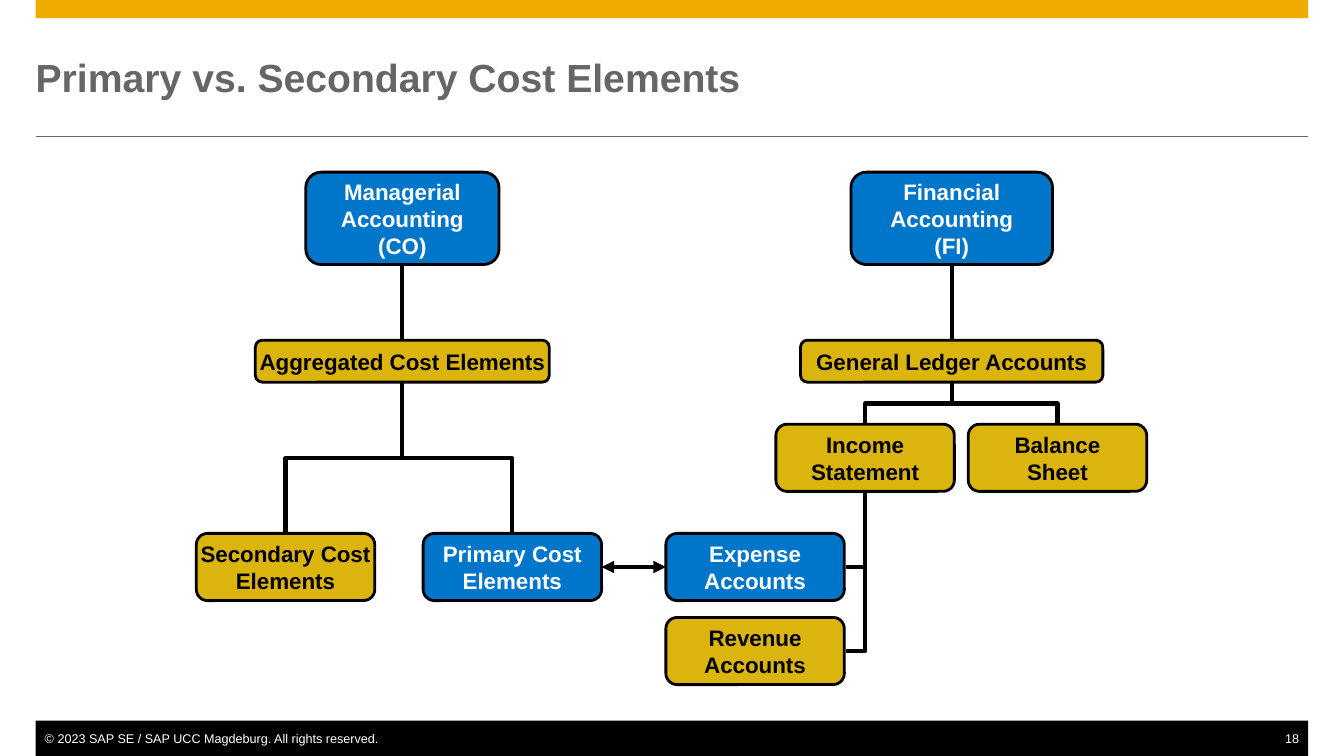
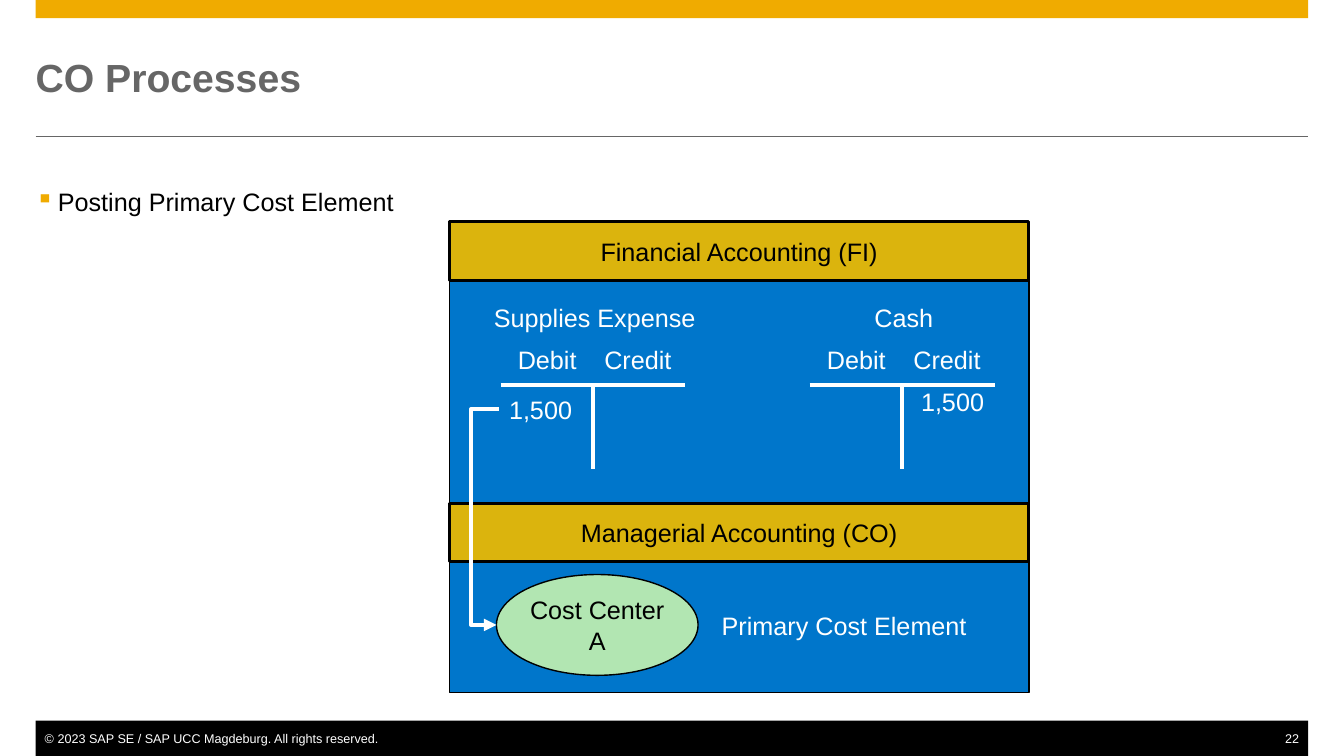
from dataclasses import dataclass

from pptx import Presentation
from pptx.dml.color import RGBColor as RGB
from pptx.enum.shapes import MSO_CONNECTOR as CXN, MSO_SHAPE as SHAPE
from pptx.enum.text import MSO_ANCHOR as ANCHOR, PP_ALIGN as ALIGN
from pptx.oxml.ns import qn
from pptx.oxml.xmlchemy import OxmlElement
from pptx.util import Inches, Pt

COLS, ROWS = 160, 90
TOP, LEFT, BOTTOM, RIGHT = range(4)


@dataclass(frozen=True)
class Theme:
    font: str = "Arial"
    accent: str = "F0AB00"
    gray: str = "666666"
    black: str = "000000"
    white: str = "FFFFFF"
    blue: str = "0076CB"
    gold: str = "DBB40D"
    green: str = "B2E6B2"
    title: int = 28
    body: int = 18
    node: int = 16
    small: int = 9
    hairline: float = 0.5
    thin: int = 1
    border: int = 2
    link: int = 3


T = Theme()


def add_xml(parent, tag, **attrs):
    el = OxmlElement(tag)
    for name, value in attrs.items():
        el.set(name, str(value))
    parent.append(el)
    return el


class Deck:
    ELBOW_TURNS = {
        "down-left": (90, {}),
        "down-right": (270, {"flipH": 1}),
        "back": (180, {"flipV": 1}),
    }

    def __init__(self, theme):
        self.t = theme
        self.prs = Presentation()
        self.prs.slide_width, self.prs.slide_height = Inches(13.34), Inches(7.5)
        self.s = None

    def x(self, cols):
        return round(cols * self.prs.slide_width / COLS)

    def y(self, rows):
        return round(rows * self.prs.slide_height / ROWS)

    def area(self, cx, cy, w, h):
        return self.x(cx - w / 2), self.y(cy - h / 2), self.x(w), self.y(h)

    def slide(self, title, number):
        t = self.t
        self.s = self.prs.slides.add_slide(self.prs.slide_layouts[6])
        self.shape(80, 1.08, 151.5, 2.16, t.accent)
        self.line(4.25, 16.2, 155.75, 16.2, t.gray, t.hairline)
        self.shape(80, 87.9, 151.5, 4.2, t.black)
        footer = dict(size=t.small, color=t.white)
        self.label("© 2023 SAP SE / SAP UCC Magdeburg. All rights reserved.",
                   80, 87.9, 149.34, 1.8, align=ALIGN.LEFT, **footer)
        self.label(number, 80, 87.9, 149.34, 1.8, align=ALIGN.RIGHT, **footer)
        self.label(title, 80, 9.2, 151.5, 10, size=t.title, color=t.gray,
                   bold=True, align=ALIGN.LEFT)

    def put_text(self, sp, text, size, color, bold=False, align=ALIGN.CENTER,
                 wrap=True, inset=0):
        tf = sp.text_frame
        frame = dict(word_wrap=wrap, vertical_anchor=ANCHOR.MIDDLE,
                     margin_left=self.x(inset), margin_right=0,
                     margin_top=0, margin_bottom=0)
        for name, value in frame.items():
            setattr(tf, name, value)
        for i, words in enumerate(text.split("\n")):
            p = tf.add_paragraph() if i else tf.paragraphs[0]
            p.alignment = align
            r = p.add_run()
            r.text = words
            for name, value in dict(name=self.t.font, size=Pt(size), bold=bold).items():
                setattr(r.font, name, value)
            r.font.color.rgb = RGB.from_string(color)

    def label(self, text, cx, cy, w, h=4.8, **style):
        sp = self.s.shapes.add_textbox(*self.area(cx, cy, w, h))
        self.put_text(sp, text, **style)
        return sp

    def bullet(self, text, cx, cy, w):
        sp = self.label(text, cx, cy, w, size=self.t.body, color=self.t.black,
                        align=ALIGN.LEFT)
        pPr = sp.text_frame.paragraphs[0]._p.get_or_add_pPr()
        indent = Inches(0.22)
        pPr.set("marL", str(indent))
        pPr.set("indent", str(-indent))
        add_xml(add_xml(pPr, "a:buClr"), "a:srgbClr", val=self.t.accent)
        add_xml(pPr, "a:buChar", char="▪")

    def shape(self, cx, cy, w, h, fill, border=0, kind=SHAPE.RECTANGLE):
        sp = self.s.shapes.add_shape(kind, *self.area(cx, cy, w, h))
        sp.shadow.inherit = False
        sp.fill.solid()
        sp.fill.fore_color.rgb = RGB.from_string(fill)
        if border:
            sp.line.color.rgb = RGB.from_string(self.t.black)
            sp.line.width = Pt(border)
        else:
            sp.line.fill.background()
        return sp

    def node(self, text, cx, cy, w, h, fill):
        sp = self.shape(cx, cy, w, h, fill, self.t.border,
                        SHAPE.FLOWCHART_ALTERNATE_PROCESS)
        color = self.t.white if fill == self.t.blue else self.t.black
        self.put_text(sp, text, self.t.node, color, bold=True, wrap=False)
        return sp

    def stroke(self, c, color, width, arrows=()):
        c.line.color.rgb = RGB.from_string(color)
        c.line.width = Pt(width)
        ln = c.line._get_or_add_ln()
        for end in arrows:
            add_xml(ln, f"a:{end}End", type="triangle")
        add_xml(c._element.spPr, "a:effectLst")
        return c

    def line(self, x1, y1, x2, y2, color, width):
        c = self.s.shapes.add_connector(CXN.STRAIGHT, self.x(x1), self.y(y1),
                                        self.x(x2), self.y(y2))
        return self.stroke(c, color, width)

    def join(self, a, a_side, b, b_side, arrows=()):
        c = self.s.shapes.add_connector(CXN.STRAIGHT, 0, 0, 0, 0)
        c.begin_connect(a, a_side)
        c.end_connect(b, b_side)
        return self.stroke(c, self.t.black, self.t.link, arrows)

    def elbow(self, x1, y1, x2, y2, turn, color, bends=2, bend_at=0.5, arrows=()):
        angle, flips = self.ELBOW_TURNS[turn]
        dx, dy = abs(self.x(x2) - self.x(x1)), self.y(y2) - self.y(y1)
        w, h = (dx, dy) if angle == 180 else (dy, dx)
        left = (self.x(x1) + self.x(x2) - w) // 2
        top = (self.y(y1) + self.y(y2) - h) // 2
        c = self.s.shapes.add_connector(CXN.ELBOW, left, top, left + w, top + h)
        spPr = c._element.spPr
        xfrm = spPr.find(qn("a:xfrm"))
        for name, value in {"rot": angle * 60000, **flips}.items():
            xfrm.set(name, str(value))
        geom = spPr.find(qn("a:prstGeom"))
        geom.set("prst", f"bentConnector{bends + 1}")
        if bends == 2:
            av = geom.find(qn("a:avLst"))
            if av is None:
                av = add_xml(geom, "a:avLst")
            add_xml(av, "a:gd", name="adj1", fmla=f"val {round(bend_at * 100000)}")
        return self.stroke(c, color, self.t.link, arrows)

    def account(self, name, cx, amount, amount_dx, amount_cy):
        white = self.t.white
        self.line(cx - 11, 45.85, cx + 11, 45.85, white, self.t.link)
        self.line(cx, 45.85, cx, 55.8, white, self.t.link)
        for text, dx, cy, w in ((name, 0.2, 37.75, 31), ("Debit", -5.45, 42.75, 10),
                                ("Credit", 5.35, 42.75, 10),
                                (amount, amount_dx, amount_cy, 10)):
            self.label(text, cx + dx, cy, w, size=self.t.body, color=white)


def cost_elements(d):
    d.slide("Primary vs. Secondary Cost Elements", "18")
    fi_x, co_x, income_x, expense_x = 113.3, 47.9, 103, 89.9
    small = 21.25, 8
    fi = d.node("Financial\nAccounting\n(FI)", fi_x, 26, 24, 11, T.blue)
    ledger = d.node("General Ledger Accounts", fi_x, 43, 36, 5, T.gold)
    co = d.node("Managerial\nAccounting\n(CO)", co_x, 26, 23, 11, T.blue)
    aggregated = d.node("Aggregated Cost Elements", co_x, 43, 35, 5, T.gold)
    d.node("Income\nStatement", income_x, 54.5, *small, T.gold)
    d.node("Balance\nSheet", 125.9, 54.5, *small, T.gold)
    expense = d.node("Expense\nAccounts", expense_x, 67.5, *small, T.blue)
    d.node("Revenue\nAccounts", expense_x, 77.5, *small, T.gold)
    primary = d.node("Primary Cost\nElements", 61, 67.5, *small, T.blue)
    d.node("Secondary Cost\nElements", 34, 67.5, *small, T.gold)

    d.join(fi, BOTTOM, ledger, TOP)
    d.join(co, BOTTOM, aggregated, TOP)
    d.join(primary, RIGHT, expense, LEFT, arrows=("head", "tail"))
    for x1, x2, y2, turn in ((fi_x, income_x, 50.5, "down-left"),
                             (fi_x, 125.9, 50.5, "down-right"),
                             (co_x, 34, 63.5, "down-left"),
                             (co_x, 61, 63.5, "down-right")):
        d.elbow(x1, 45.6, x2, y2, turn, T.black)
    for cy in (67.5, 77.5):
        d.elbow(income_x, 58.6, 100.7, cy, "down-left", T.black, bends=1)


def co_processes(d):
    d.slide("CO Processes", "22")
    d.bullet("Posting Primary Cost Element", 80, 24, 151.5)
    cx, w = 88, 69
    d.shape(cx, 46.9, w, 27, T.blue, T.thin)
    element = d.shape(cx, 74.45, w, 16, T.blue, T.thin)
    d.put_text(element, "Primary Cost Element", T.body, T.white, inset=25)
    center = d.shape(71.1, 74.4, 24, 12, T.green, T.thin, SHAPE.OVAL)
    d.put_text(center, "Cost Center\nA", T.body, T.black, wrap=False)
    d.account("Supplies Expense", 70.6, "1,500", -6.25, 48.8)
    d.account("Cash", 107.4, "1,500", 6, 47.75)
    for text, cy in (("Financial Accounting (FI)", 29.9),
                     ("Managerial Accounting (CO)", 63.4)):
        header = d.shape(cx, cy, w, 7, T.gold, T.border)
        d.put_text(header, text, T.body, T.black, wrap=False)
    start, end, bend = 59.35, 59.1, 56.1
    d.elbow(start, 48.7, end, 74.4, "back", T.white,
            bend_at=(start - bend) / (start - end), arrows=("tail",))


def main():
    d = Deck(T)
    cost_elements(d)
    co_processes(d)
    d.prs.save("out.pptx")


if __name__ == "__main__":
    main()
